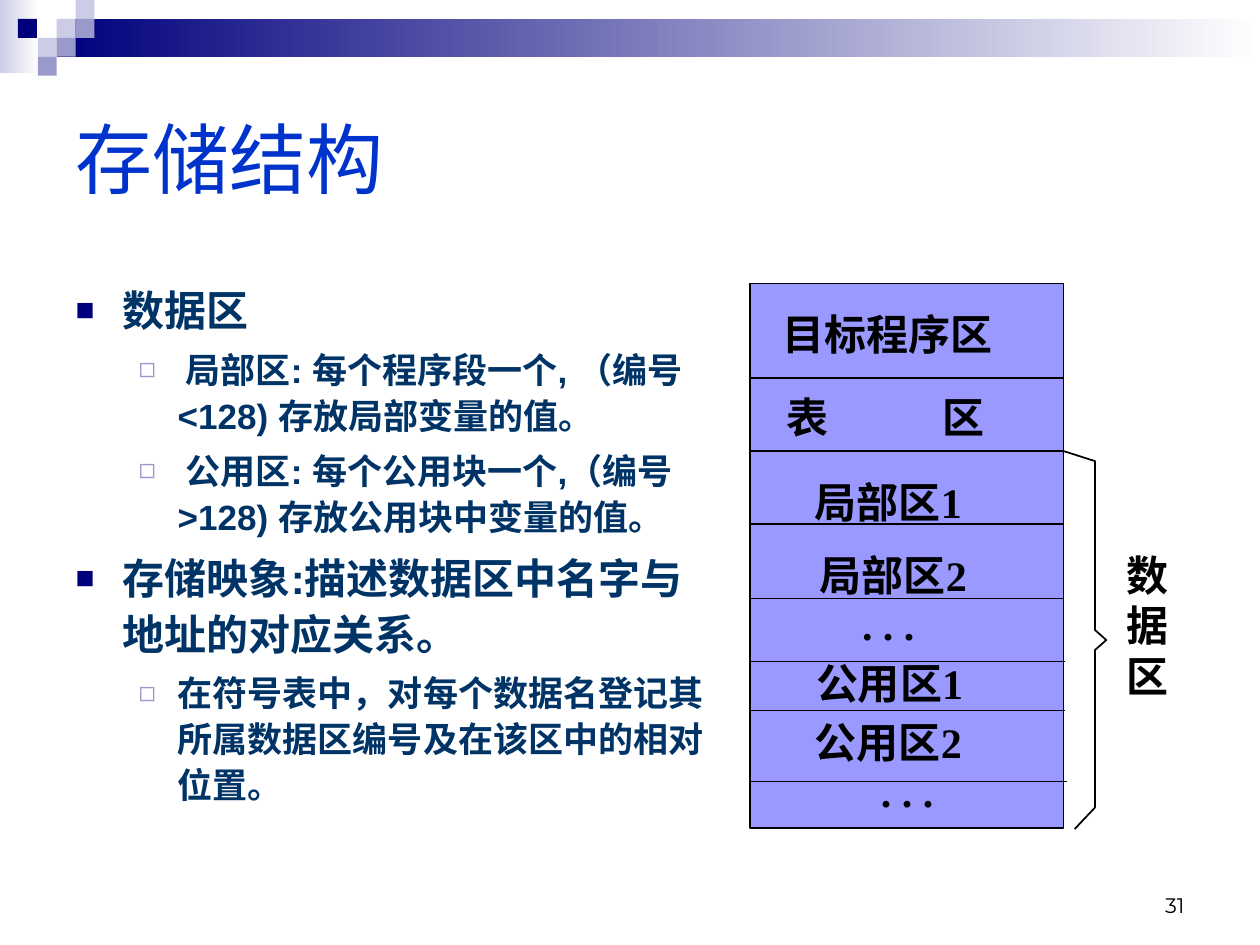
from dataclasses import dataclass

from lxml.etree import SubElement
from pptx import Presentation
from pptx.dml.color import RGBColor
from pptx.enum.shapes import MSO_CONNECTOR as Connector, MSO_SHAPE as Shape
from pptx.enum.text import MSO_ANCHOR as Anchor, MSO_AUTO_SIZE as AutoSize, PP_ALIGN as Align
from pptx.oxml.ns import qn
from pptx.util import Inches, Pt

WHITE = RGBColor(0xFF, 0xFF, 0xFF)
BLACK = RGBColor(0, 0, 0)
NAVY = RGBColor(0, 0, 0x7D)
LILAC = RGBColor(0xCC, 0xCC, 0xE6)
MAUVE = RGBColor(0x99, 0x99, 0xCC)
TITLE_BLUE = RGBColor(0, 0x33, 0xCC)
BODY_BLUE = RGBColor(0, 0x33, 0x66)
BLOCK_FILL = RGBColor(0x99, 0x99, 0xFF)

COLS = 100  # the slide is a grid of 100 columns by 75 rows
TILE = 1.5  # side of a corner tile, in columns
BLOCK_LEFT, BLOCK_TOP, BLOCK_WIDTH, BLOCK_HEIGHT = 59.5, 22.5, 24.9, 43.2


@dataclass
class Tile:
    col: float
    row: float
    color: RGBColor


@dataclass
class Level:
    size: int
    margin: float
    indent: float
    before: int
    bullet: str
    color: RGBColor
    percent: int


@dataclass
class Item:
    level: int
    text: str


@dataclass
class Label:
    center: float
    top: float
    text: str
    width: float = 21
    height: float = 5


@dataclass
class Divider:
    row: float
    overhang: float = 0
    weight: float = 1


TILES = [Tile(3, 1, LILAC), Tile(4, 0, LILAC), Tile(4, 1, MAUVE), Tile(2, 2, LILAC),
         Tile(0.95, 1, NAVY), Tile(3, 2, MAUVE), Tile(2, 3, MAUVE)]
LEVELS = [Level(24, 3.75, -3.75, 6, "■", NAVY, 75),
          Level(20, 8.1, -3.1, 5, "◻", MAUVE, 80)]
ITEMS = [
    Item(0, "数据区"),
    Item(1, " 局部区: 每个程序段一个, （编号<128) 存放局部变量的值。"),
    Item(1, " 公用区: 每个公用块一个,（编号>128) 存放公用块中变量的值。"),
    Item(0, "存储映象:描述数据区中名字与地址的对应关系。"),
    Item(1, "在符号表中，对每个数据名登记其所属数据区编号及在该区中的相对位置。"),
]
DIVIDERS = [Divider(30), Divider(35.8), Divider(41.6), Divider(47.5),
            Divider(52.5, 0.1), Divider(56.4, 0.1), Divider(62, 0.3, 0.75)]
LABELS = [Label(70.4, 24, "目标程序区"), Label(70.5, 37.3, "局部区1"),
          Label(70.9, 43.1, "局部区2"), Label(70.5, 47, ". . ."),
          Label(70.6, 51.7, "公用区1"), Label(70.5, 56.4, "公用区2"),
          Label(72, 60.3, ". . ."), Label(91.1, 43.1, "数\n据\n区", 5.4, 13)]
BRACE = [(84.4, 35.8), (86.9, 36.6), (86.9, 50), (87.8, 50.8),
         (86.9, 51.6), (86.9, 64.1), (85.3, 65.8)]

prs = Presentation()
prs.slide_width, prs.slide_height = Inches(10), Inches(7.5)
UNIT = prs.slide_width // COLS


def grid(*values: float) -> list[int]:
    """Convert grid columns or rows to EMU."""
    return [round(v * UNIT) for v in values]


def place(sp, *box: float) -> None:
    sp.left, sp.top, sp.width, sp.height = grid(*box)


def write(p, text: str, size: int, color: RGBColor, name: str, bold: bool = False) -> None:
    r = p.add_run()
    r.text = text
    r.font.color.rgb = color
    for key, value in {"size": Pt(size), "name": name, "bold": bold}.items():
        setattr(r.font, key, value)


def add_block(s, box: tuple, color: RGBColor, fade: bool = False, outlined: bool = False) -> None:
    """Add a rectangle, optionally fading to white on the right."""
    sp = s.shapes.add_shape(Shape.RECTANGLE, *grid(*box))
    sp.shadow.inherit = False
    if fade:
        sp.fill.gradient()
        sp.fill.gradient_angle = 0
        for position, (stop, rgb) in enumerate(zip(sp.fill.gradient_stops, (color, WHITE))):
            stop.color.rgb = rgb
            stop.position = position
    else:
        sp.fill.solid()
        sp.fill.fore_color.rgb = color
    if outlined:
        sp.line.color.rgb = BLACK
        sp.line.width = Pt(1)
    else:
        sp.line.fill.background()


def add_divider(s, d: Divider) -> None:
    line = s.shapes.add_connector(Connector.STRAIGHT, *grid(
        BLOCK_LEFT, d.row, BLOCK_LEFT + BLOCK_WIDTH + d.overhang, d.row))
    line.line.color.rgb = BLACK
    line.line.width = Pt(d.weight)
    SubElement(line._element.spPr, qn("a:effectLst"))


def add_text(s, box: tuple, text: str, align: Align, size: int = 24,
             name: str = "Times New Roman", bold: bool = True):
    tf = s.shapes.add_textbox(*grid(*box)).text_frame
    tf.word_wrap = False
    for i, part in enumerate(text.split("\n")):
        p = tf.add_paragraph() if i else tf.paragraphs[0]
        p.alignment = align
        write(p, part, size, BLACK, name, bold)
    return tf


def add_label(s, label: Label) -> None:
    add_text(s, (label.center - label.width / 2, label.top, label.width, label.height),
             label.text, Align.CENTER)


def set_bullet(p, level: Level) -> None:
    pPr = p._p.get_or_add_pPr()
    margin, indent = grid(level.margin, level.indent)
    pPr.set("marL", str(margin))
    pPr.set("indent", str(indent))
    SubElement(SubElement(pPr, qn("a:buClr")), qn("a:srgbClr"), val=str(level.color))
    SubElement(pPr, qn("a:buSzPct"), val=str(level.percent * 1000))
    SubElement(pPr, qn("a:buFont"), typeface="Arial")
    SubElement(pPr, qn("a:buChar"), char=level.bullet)


def fill_title(s) -> None:
    title = s.shapes.title
    place(title, 5, 5, 90, 15)
    title.text_frame.vertical_anchor = Anchor.MIDDLE
    title.text_frame.auto_size = AutoSize.NONE
    p = title.text_frame.paragraphs[0]
    p.alignment = Align.LEFT
    write(p, "存储结构", 44, TITLE_BLUE, "Arial")


def fill_body(s) -> None:
    body = s.placeholders[1]
    place(body, 5, 21.7, 52.1, 48.1)
    tf = body.text_frame
    tf.auto_size = AutoSize.NONE
    for i, item in enumerate(ITEMS):
        level = LEVELS[item.level]
        p = tf.add_paragraph() if i else tf.paragraphs[0]
        set_bullet(p, level)
        for key, value in {"level": item.level, "line_spacing": 1.1,
                           "space_before": Pt(level.before if i else 0)}.items():
            setattr(p, key, value)
        write(p, item.text, level.size, BODY_BLUE, "Arial", True)


def draw_storage(s) -> None:
    add_block(s, (BLOCK_LEFT, BLOCK_TOP, BLOCK_WIDTH, BLOCK_HEIGHT), BLOCK_FILL, outlined=True)
    for d in DIVIDERS:
        add_divider(s, d)
    for label in LABELS:
        add_label(s, label)
    table_row = add_text(s, (61.4, 30.6, 17.8, 5), "表\t区", Align.LEFT)
    table_row.word_wrap = True
    tabs = SubElement(table_row.paragraphs[0]._p.get_or_add_pPr(), qn("a:tabLst"))
    SubElement(tabs, qn("a:tab"), pos=str(grid(12.4)[0]), algn="l")
    start, *rest = [grid(*point) for point in BRACE]
    builder = s.shapes.build_freeform(*start)
    builder.add_line_segments(rest, close=False)
    brace = builder.convert_to_shape()
    brace.shadow.inherit = False
    brace.fill.background()
    brace.line.color.rgb = BLACK
    brace.line.width = Pt(1)


def main() -> None:
    s = prs.slides.add_slide(prs.slide_layouts[1])
    add_block(s, (0, 0, 3.1, 5.8), LILAC, fade=True)
    add_block(s, (4.5, TILE, 95.5, 2 * TILE), NAVY, fade=True)
    for t in TILES:
        add_block(s, (t.col * TILE, t.row * TILE, TILE, TILE), t.color)
    fill_title(s)
    fill_body(s)
    draw_storage(s)
    number = add_text(s, (71.7, 68.3, 23.3, 5), "31", Align.RIGHT, 12, "Montserrat", False)
    number.word_wrap = True
    number.vertical_anchor = Anchor.BOTTOM
    prs.save("out.pptx")


if __name__ == "__main__":
    main()
